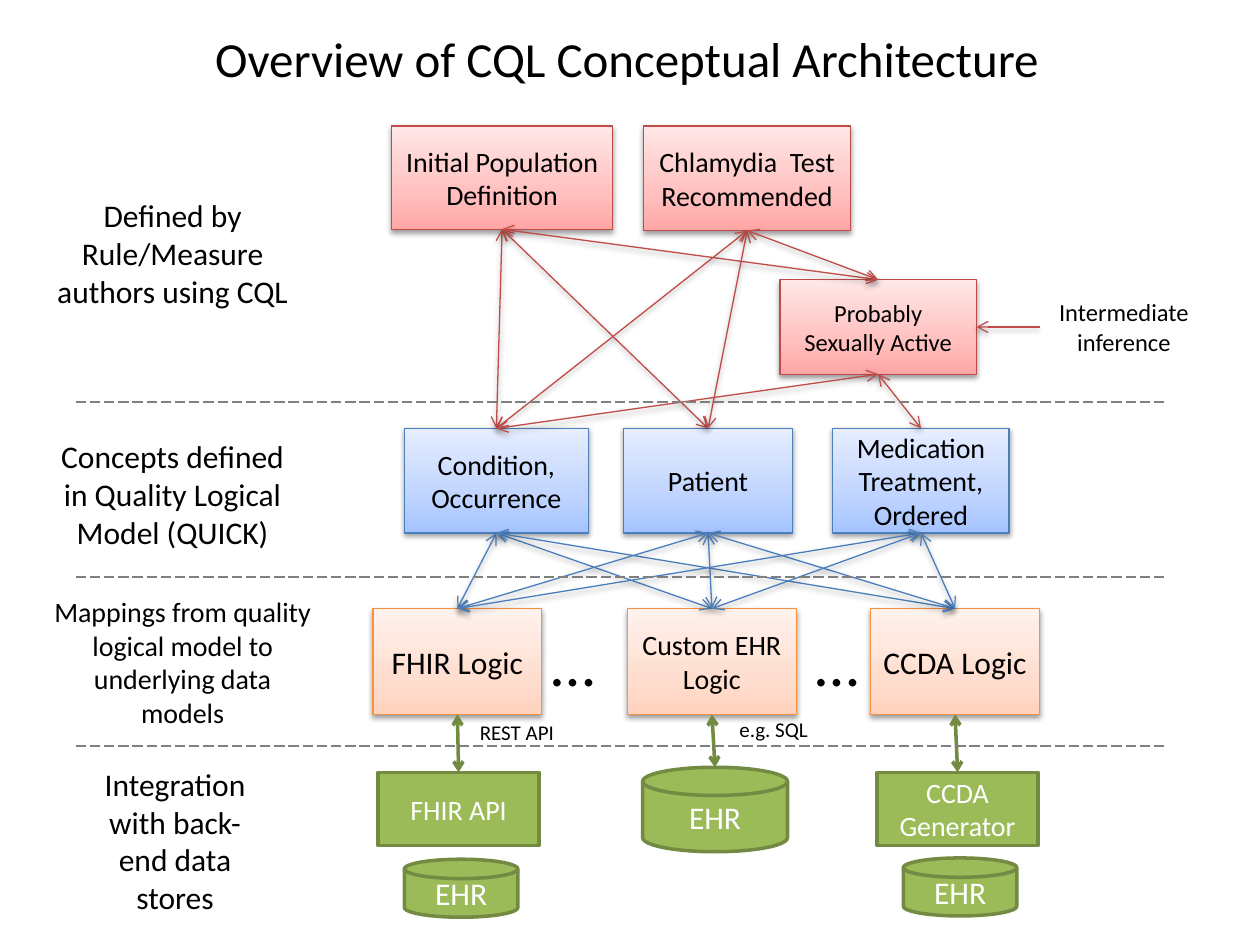
from copy import deepcopy
from lxml import etree
from pptx import Presentation
from pptx.dml.color import RGBColor
from pptx.enum.dml import MSO_LINE
from pptx.enum.shapes import MSO_CONNECTOR, MSO_SHAPE
from pptx.enum.text import MSO_ANCHOR, MSO_AUTO_SIZE, PP_ALIGN
from pptx.oxml.ns import qn
from pptx.util import Inches, Pt

RECTANGLE, DISK = MSO_SHAPE.RECTANGLE, MSO_SHAPE.FLOWCHART_MAGNETIC_DISK
STRAIGHT, LONG_DASH = MSO_CONNECTOR.STRAIGHT, MSO_LINE.LONG_DASH
LEFT, CENTER, MIDDLE = PP_ALIGN.LEFT, PP_ALIGN.CENTER, MSO_ANCHOR.MIDDLE
FIT_TEXT = MSO_AUTO_SIZE.SHAPE_TO_FIT_TEXT
TOP, BOTTOM, RIGHT, DISK_TOP = 0, 2, 3, 1

THEME = {
    "font": "Calibri",
    "text": "000000",
    "separator": "7F7F7F",
    "size": {"title": 28, "dots": 36, "large": 18, "medium": 16, "small": 14, "note": 12},
    "rule": {"fill": ["FFA6A5", "FFC0BF", "FFE7E7"], "line": "BF4C48", "width": 0.75, "text": "000000"},
    "concept": {"fill": ["A4C4FF", "BFD4FF", "E6EEFF"], "line": "4B7EBC", "width": 0.75, "text": "000000"},
    "mapping": {"fill": ["FFD2BD", "FFDED0", "FFF2ED"], "line": "F69240", "width": 0.75, "text": "000000"},
    "store": {"fill": ["9BBB59"], "line": "738A42", "width": 2, "text": "FFFFFF"},
}


def write(shape, text, size, color, alignment):
    shape.text_frame.text = text
    paragraph = shape.text_frame.paragraphs[0]
    paragraph.alignment = alignment
    font = paragraph.runs[0].font
    font.name = THEME["font"]
    font.size = Pt(THEME["size"][size])
    font.color.rgb = RGBColor.from_string(color)


def set_effects(shape, shadowed):
    effects = etree.SubElement(shape._element.spPr, qn("a:effectLst"))
    if shadowed:
        shadow = etree.SubElement(effects, qn("a:outerShdw"), blurRad="40000", dist="20000",
                                  dir="5400000", rotWithShape="0")
        color = etree.SubElement(shadow, qn("a:srgbClr"), val="000000")
        etree.SubElement(color, qn("a:alpha"), val="38000")


presentation = Presentation()
presentation.slide_width = Inches(10)
presentation.slide_height = Inches(7.5)
slide = presentation.slides.add_slide(presentation.slide_layouts[6])

boxes = [
    ("active", "rule", RECTANGLE, 6.19, 2.22, 1.56, 0.75, "Probably Sexually Active", "small"),
    ("population", "rule", RECTANGLE, 3.11, 1, 1.75, 0.82, "Initial Population Definition", "medium"),
    ("test", "rule", RECTANGLE, 5.11, 1, 1.64, 0.83, "Chlamydia  Test Recommended", "medium"),
    ("condition", "concept", RECTANGLE, 3.21, 3.4, 1.46, 0.83, "Condition, Occurrence", "medium"),
    ("patient", "concept", RECTANGLE, 4.95, 3.4, 1.34, 0.83, "Patient", "medium"),
    ("medication", "concept", RECTANGLE, 6.61, 3.4, 1.4, 0.83, "Medication Treatment, Ordered", "medium"),
    ("fhir logic", "mapping", RECTANGLE, 2.96, 4.83, 1.34, 0.84, "FHIR Logic", "large"),
    ("custom logic", "mapping", RECTANGLE, 4.98, 4.83, 1.34, 0.84, "Custom EHR Logic", "medium"),
    ("ccda logic", "mapping", RECTANGLE, 6.91, 4.83, 1.34, 0.84, "CCDA Logic", "large"),
    ("fhir api", "store", RECTANGLE, 3, 6.13, 1.28, 0.58, "FHIR API", "medium"),
    ("ccda generator", "store", RECTANGLE, 6.96, 6.13, 1.28, 0.58, "CCDA Generator", "medium"),
    ("fhir ehr", "store", DISK, 3.21, 6.82, 0.9, 0.46, "EHR", "large"),
    ("custom ehr", "store", DISK, 5.1, 6.09, 1.15, 0.67, "EHR", "large"),
    ("ccda ehr", "store", DISK, 7.17, 6.81, 0.9, 0.46, "EHR", "large"),
]
shapes = {}
for key, layer, kind, left, top, width, height, text, size in boxes:
    style = THEME[layer]
    shape = slide.shapes.add_shape(kind, Inches(left), Inches(top), Inches(width), Inches(height))
    if len(style["fill"]) == 1:
        shape.fill.solid()
        shape.fill.fore_color.rgb = RGBColor.from_string(style["fill"][0])
    else:
        shape.fill.gradient()
        shape.fill.gradient_angle = 90
        first_stop = shape._element.spPr.find(qn("a:gradFill")).find(qn("a:gsLst"))[0]
        first_stop.addnext(deepcopy(first_stop))
        for stop, position, color in zip(shape.fill.gradient_stops, (0, 0.35, 1), style["fill"]):
            stop.position = position
            stop.color.rgb = RGBColor.from_string(color)
    shape.line.color.rgb = RGBColor.from_string(style["line"])
    shape.line.width = Pt(style["width"])
    set_effects(shape, layer != "store")
    shape.text_frame.word_wrap = True
    shape.text_frame.vertical_anchor = MIDDLE
    write(shape, text, size, style["text"], CENTER)
    shapes[key] = shape

links = [
    ("rule", "population", "condition"), ("rule", "population", "patient"),
    ("rule", "population", "active"), ("rule", "test", "condition"),
    ("rule", "test", "patient"), ("rule", "test", "active"),
    ("rule", "active", "condition"), ("rule", "active", "medication"),
    ("store", "fhir logic", "fhir api"), ("store", "custom logic", "custom ehr"),
    ("store", "ccda logic", "ccda generator"),
]
for concept in ("condition", "patient", "medication"):
    for mapping in ("fhir logic", "custom logic", "ccda logic"):
        links.append(("concept", concept, mapping))
links.append(("rule", None, "active"))

for layer, upper, lower in links:
    target = shapes[lower]
    connector = slide.shapes.add_connector(STRAIGHT, Inches(8.25), Inches(2.6), Inches(7.75), Inches(2.6))
    if upper is None:
        connector.end_connect(target, RIGHT)
        connector.begin_y = connector.end_y
    else:
        connector.begin_connect(shapes[upper], BOTTOM)
        connector.end_connect(target, DISK_TOP if target.auto_shape_type == DISK else TOP)
        connector.end_x = target.left + target.width // 2
        connector.end_y = target.top
    connector.line.color.rgb = RGBColor.from_string(THEME[layer]["line"])
    connector.line.width = Pt(THEME[layer]["width"])
    line_element = connector._element.spPr.find(qn("a:ln"))
    for end in ("headEnd", "tailEnd"):
        if upper or end == "tailEnd":
            etree.SubElement(line_element, qn("a:" + end), type="arrow")
    set_effects(connector, layer != "store")

for y in (3.19, 4.58, 5.92):
    separator = slide.shapes.add_connector(STRAIGHT, Inches(9.24), Inches(y), Inches(0.58), Inches(y))
    separator.line.color.rgb = RGBColor.from_string(THEME["separator"])
    separator.line.width = Pt(0.75)
    separator.line.dash_style = LONG_DASH
    set_effects(separator, False)

labels = [
    (1.61, 0.18, 6.81, 0.57, "Overview of CQL Conceptual Architecture", "title", LEFT, False),
    (0.3, 1.51, 2.14, 1.01, "Defined by Rule/Measure authors using CQL", "large", CENTER, True),
    (0.34, 3.42, 2.06, 1.01, "Concepts defined in Quality Logical Model (QUICK)", "large", CENTER, True),
    (0.32, 4.67, 2.26, 1.18, "Mappings from quality logical model to underlying data models", "medium", CENTER, True),
    (0.61, 6.02, 1.56, 1.31, "Integration with back-end data stores", "large", CENTER, True),
    (8.25, 2.31, 1.34, 0.57, "Intermediate inference", "small", CENTER, True),
    (3.71, 5.66, 1.13, 0.3, "REST API", "note", LEFT, True),
    (5.77, 5.64, 0.81, 0.3, "e.g. SQL", "note", LEFT, True),
    (4.28, 4.9, 0.55, 0.71, "…", "dots", LEFT, False),
    (6.37, 4.9, 0.55, 0.71, "…", "dots", LEFT, False),
]
for left, top, width, height, text, size, alignment, wrap in labels:
    label = slide.shapes.add_textbox(Inches(left), Inches(top), Inches(width), Inches(height))
    label.text_frame.word_wrap = wrap
    label.text_frame.auto_size = FIT_TEXT
    write(label, text, size, THEME["text"], alignment)

presentation.save("out.pptx")
